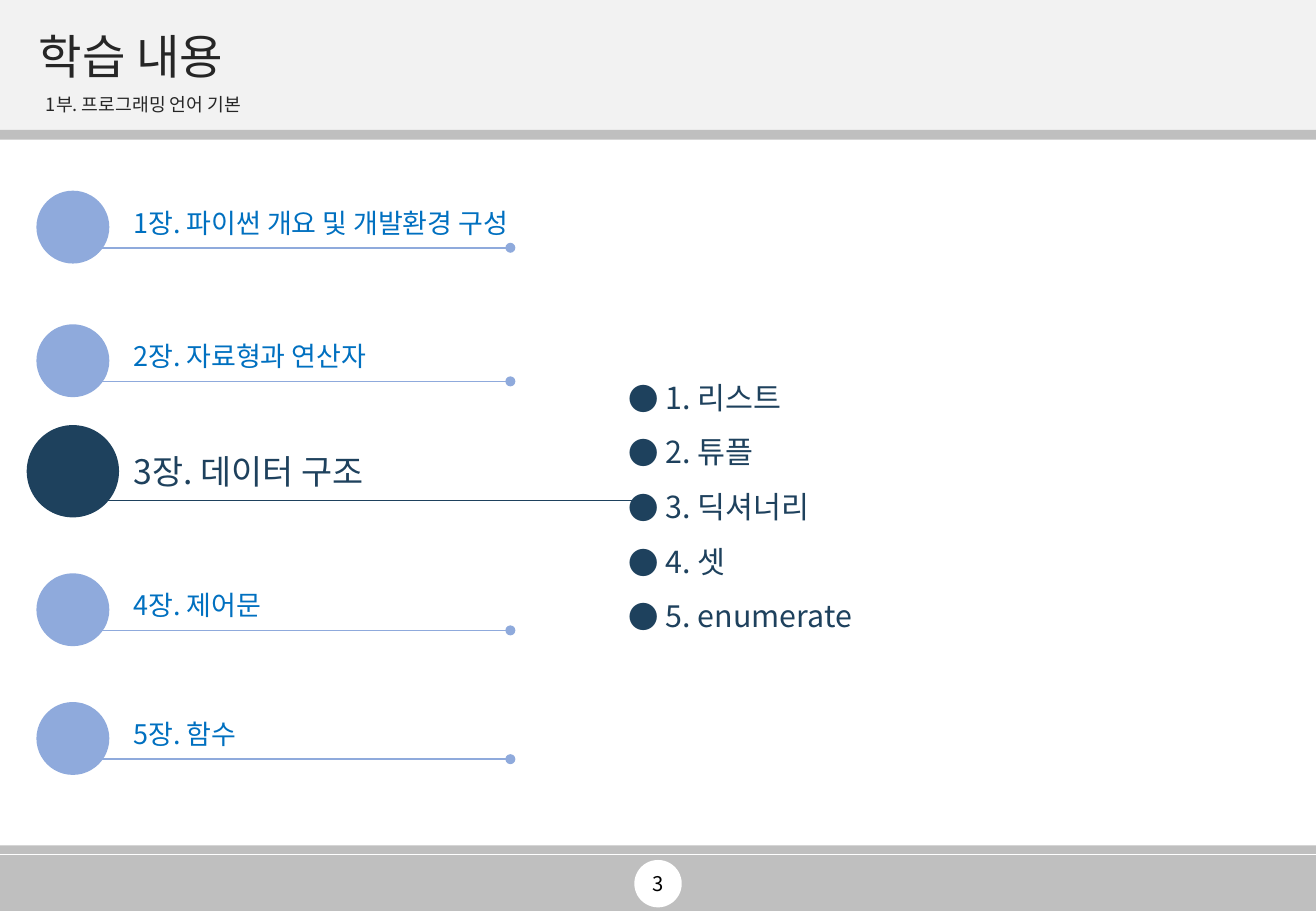
from dataclasses import dataclass

from pptx import Presentation
from pptx.dml.color import RGBColor
from pptx.enum.shapes import MSO_CONNECTOR, MSO_SHAPE
from pptx.enum.text import MSO_ANCHOR, PP_ALIGN
from pptx.oxml.ns import qn
from pptx.slide import Slide
from pptx.util import Inches, Pt
from lxml.etree import SubElement


@dataclass(frozen=True)
class Theme:
    font: str = "Noto Sans CJK KR"
    white: str = "FFFFFF"
    band: str = "F2F2F2"
    bar: str = "BFBFBF"
    heading: str = "262626"
    black: str = "000000"
    marker: str = "8FAADC"
    link: str = "0070C0"
    active: str = "1E415D"
    title_size: float = 28
    subtitle_size: float = 10.8
    chapter_size: float = 16
    active_size: float = 20
    topic_size: float = 18
    page_size: float = 12


THEME = Theme()
WIDTH, HEIGHT = 10.83, 7.5
MARKER_X = 0.6


@dataclass(frozen=True)
class Box:
    left: float
    top: float
    width: float
    height: float

    def lengths(self) -> list[int]:
        return [Inches(v) for v in (self.left, self.top, self.width, self.height)]


@dataclass(frozen=True)
class Panel:
    shape: MSO_SHAPE
    box: Box
    color: str


@dataclass(frozen=True)
class ChapterStyle:
    diameter: float
    rule_drop: float
    rule_end: float
    label_width: float
    label_height: float
    size: float
    marker_color: str
    text_color: str


@dataclass(frozen=True)
class Chapter:
    label: str
    center: float
    style: ChapterStyle


NORMAL = ChapterStyle(0.6, 0.17, 4.2, 3.55, 0.37,
                      THEME.chapter_size, THEME.marker, THEME.link)
ACTIVE = ChapterStyle(0.76, 0.24, 5.26, 4.62, 0.44,
                      THEME.active_size, THEME.active, THEME.active)

PANELS = [
    Panel(MSO_SHAPE.RECTANGLE, Box(0, 7.04, WIDTH, 0.46), THEME.bar),
    Panel(MSO_SHAPE.RECTANGLE, Box(0, 6.96, WIDTH, 0.07), THEME.bar),
    Panel(MSO_SHAPE.OVAL, Box(5.22, 7.08, 0.39, 0.39), THEME.white),
    Panel(MSO_SHAPE.RECTANGLE, Box(0, 0, WIDTH, 1.07), THEME.band),
    Panel(MSO_SHAPE.RECTANGLE, Box(0, 1.07, WIDTH, 0.08), THEME.bar),
]

CHAPTERS = [
    Chapter("1장. 파이썬 개요 및 개발환경 구성", 1.87, NORMAL),
    Chapter("2장. 자료형과 연산자", 2.97, NORMAL),
    Chapter("3장. 데이터 구조", 3.88, ACTIVE),
    Chapter("4장. 제어문", 5.02, NORMAL),
    Chapter("5장. 함수", 6.08, NORMAL),
]

TOPICS = ["1. 리스트", "2. 튜플", "3. 딕셔너리", "4. 셋", "5. enumerate"]


def add_panel(slide: Slide, panel: Panel) -> None:
    sp = slide.shapes.add_shape(panel.shape, *panel.box.lengths())
    sp.shadow.inherit = False
    sp.fill.solid()
    sp.fill.fore_color.rgb = RGBColor.from_string(panel.color)
    sp.line.fill.background()


def add_text(slide: Slide, box: Box, lines: list[str], size: float, color: str,
             anchor: MSO_ANCHOR = MSO_ANCHOR.TOP, bullet: str = "",
             **paragraph_format: object) -> None:
    """Write one paragraph per line; extra keywords are paragraph attributes."""
    tf = slide.shapes.add_textbox(*box.lengths()).text_frame
    for name, value in {"word_wrap": True, "vertical_anchor": anchor}.items():
        setattr(tf, name, value)
    for i, line in enumerate(lines):
        p = tf.add_paragraph() if i else tf.paragraphs[0]
        for name, value in paragraph_format.items():
            setattr(p, name, value)
        if bullet:
            add_bullet(p, bullet)
        r = p.add_run()
        r.text = line
        for name, value in {"size": Pt(size), "name": THEME.font}.items():
            setattr(r.font, name, value)
        r.font.color.rgb = RGBColor.from_string(color)
        SubElement(r.font._element, qn("a:ea"), typeface=THEME.font)


def add_bullet(p: object, char: str) -> None:
    pPr = p._p.get_or_add_pPr()
    indent = Inches(0.31)
    pPr.set("marL", str(indent))
    pPr.set("indent", str(-indent))
    SubElement(pPr, qn("a:buFont"), typeface=THEME.font)
    SubElement(pPr, qn("a:buChar"), char=char)


def add_rule(slide: Slide, y: float, end: float, color: str) -> None:
    """Draw a chapter underline that ends in a dot."""
    ln = slide.shapes.add_connector(
        MSO_CONNECTOR.STRAIGHT, Inches(0.79), Inches(y), Inches(end), Inches(y))
    ln.line.width = Pt(1)
    ln.line.color.rgb = RGBColor.from_string(color)
    SubElement(ln.line._get_or_add_ln(), qn("a:tailEnd"), type="oval")
    SubElement(ln._element.spPr, qn("a:effectLst"))


def add_chapter(slide: Slide, chapter: Chapter) -> None:
    st = chapter.style
    radius = st.diameter / 2
    circle = Box(MARKER_X - radius, chapter.center - radius, st.diameter, st.diameter)
    add_panel(slide, Panel(MSO_SHAPE.OVAL, circle, st.marker_color))
    rule_y = chapter.center + st.rule_drop
    add_rule(slide, rule_y, st.rule_end, st.marker_color)
    label = Box(1, rule_y - st.label_height - 0.02, st.label_width, st.label_height)
    add_text(slide, label, [chapter.label], st.size, st.text_color)


def main() -> None:
    prs = Presentation()
    prs.slide_width, prs.slide_height = Inches(WIDTH), Inches(HEIGHT)
    slide = prs.slides.add_slide(prs.slide_layouts[6])
    for panel in PANELS:
        add_panel(slide, panel)
    add_text(slide, Box(0.22, 0.21, 10.39, 0.55), ["학습 내용"], THEME.title_size,
             THEME.heading, MSO_ANCHOR.MIDDLE, line_spacing=0.9)
    add_text(slide, Box(0.28, 0.76, 10.32, 0.24), ["1부. 프로그래밍 언어 기본"],
             THEME.subtitle_size, THEME.heading, MSO_ANCHOR.MIDDLE, line_spacing=0.7)
    for chapter in CHAPTERS:
        add_chapter(slide, chapter)
    add_text(slide, Box(5.07, 2.92, 5.38, 2.37), TOPICS, THEME.topic_size,
             THEME.active, bullet="●", line_spacing=1.5)
    add_text(slide, Box(4.2, 7.08, 2.44, 0.39), ["3"], THEME.page_size,
             THEME.black, MSO_ANCHOR.MIDDLE, alignment=PP_ALIGN.CENTER)
    prs.save("out.pptx")


if __name__ == "__main__":
    main()
